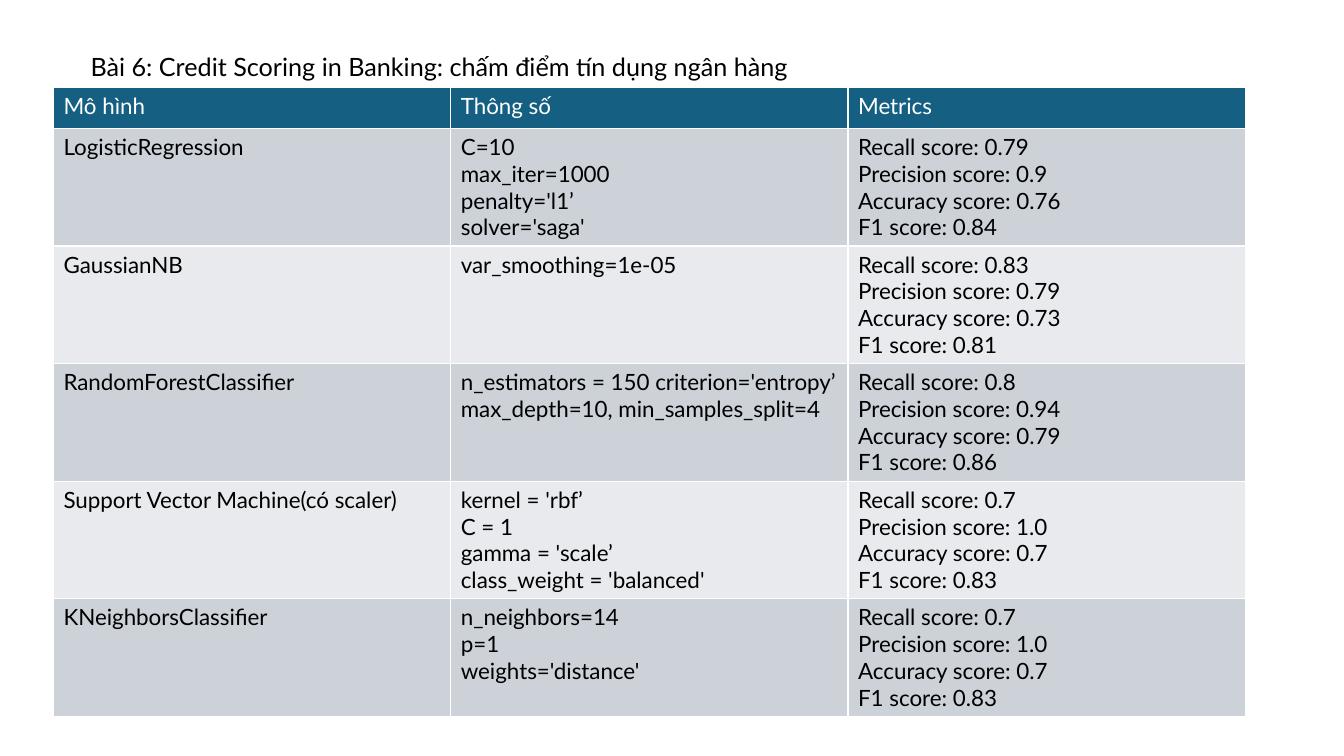
from lxml.etree import SubElement
from pptx import Presentation
from pptx.dml.color import RGBColor
from pptx.oxml.ns import qn
from pptx.util import Pt

WHITE = RGBColor(0xFF, 0xFF, 0xFF)
BLACK = RGBColor(0x00, 0x00, 0x00)
TEAL = RGBColor(0x15, 0x60, 0x82)
BAND_DARK = RGBColor(0xCC, 0xD2, 0xD8)
BAND_LIGHT = RGBColor(0xE8, 0xEA, 0xED)
FONT = "Lato"

TITLE = "Bài 6: Credit Scoring in Banking: chấm điểm tín dụng ngân hàng"
HEADINGS = ["Mô hình", "Thông số", "Metrics"]
METRICS = ["Recall", "Precision", "Accuracy", "F1"]
MODELS = [
    ("LogisticRegression",
     ["C=10", "max_iter=1000", "penalty='l1’", "solver='saga'"],
     ["0.79", "0.9", "0.76", "0.84"]),
    ("GaussianNB",
     ["var_smoothing=1e-05"],
     ["0.83", "0.79", "0.73", "0.81"]),
    ("RandomForestClassifier",
     ["n_estimators = 150 criterion='entropy’", "max_depth=10, min_samples_split=4"],
     ["0.8", "0.94", "0.79", "0.86"]),
    ("Support Vector Machine(có scaler)",
     ["kernel = 'rbf’", "C = 1", "gamma = 'scale’", "class_weight = 'balanced'"],
     ["0.7", "1.0", "0.7", "0.83"]),
    ("KNeighborsClassifier",
     ["n_neighbors=14", "p=1", "weights='distance'"],
     ["0.7", "1.0", "0.7", "0.83"]),
]


def write_lines(frame, lines, size, color):
    """Write one paragraph per line in a single font."""
    frame.text = "\n".join(lines)
    for line in frame.paragraphs:
        line.font.name = FONT
        line.font.size = Pt(size)
        line.font.bold = False
        line.font.color.rgb = color


def add_title(slide, left, top, width, height):
    """Place the exercise title on one line."""
    title = slide.shapes.add_textbox(Pt(left), Pt(top), Pt(width), Pt(height))
    title.text_frame.word_wrap = True
    write_lines(title.text_frame, [TITLE], 18, BLACK)


def add_borders(cell):
    """Draw thin white borders around a cell."""
    properties = cell._tc.get_or_add_tcPr()
    for side in "LRTB":
        border = SubElement(properties, qn(f"a:ln{side}"), w=str(Pt(1)))
        fill = SubElement(border, qn("a:solidFill"))
        SubElement(fill, qn("a:srgbClr"), val=str(WHITE))


def fill_cell(cell, lines, background, color):
    """Fill a cell with its text, background and borders."""
    write_lines(cell.text_frame, lines, 16, color)
    add_borders(cell)
    cell.fill.solid()
    cell.fill.fore_color.rgb = background


def add_model_table(slide, left, top, width, height, header_height=29.2):
    """Compare the models, with equal columns and equal model rows."""
    table = slide.shapes.add_table(
        len(MODELS) + 1, len(HEADINGS), Pt(left), Pt(top), Pt(width), Pt(height)
    ).table
    for column in table.columns:
        column.width = Pt(width / len(HEADINGS))
    for row in table.rows:
        row.height = Pt((height - header_height) / len(MODELS))
    table.rows[0].height = Pt(header_height)

    for column, heading in enumerate(HEADINGS):
        fill_cell(table.cell(0, column), [heading], TEAL, WHITE)
    for row, (model, parameters, scores) in enumerate(MODELS, start=1):
        metrics = [f"{name} score: {score}" for name, score in zip(METRICS, scores)]
        band = BAND_DARK if row % 2 else BAND_LIGHT
        for column, lines in enumerate(([model], parameters, metrics)):
            fill_cell(table.cell(row, column), lines, band, BLACK)


def main():
    """Build the credit scoring slide."""
    deck = Presentation()
    deck.slide_width, deck.slide_height = Pt(960), Pt(540)
    slide = deck.slides.add_slide(deck.slide_layouts[6])
    add_title(slide, 57.6, 33.4, 560, 29.1)
    add_model_table(slide, 38.2, 62.6, 851.4, 449.2)
    deck.save("out.pptx")


if __name__ == "__main__":
    main()
